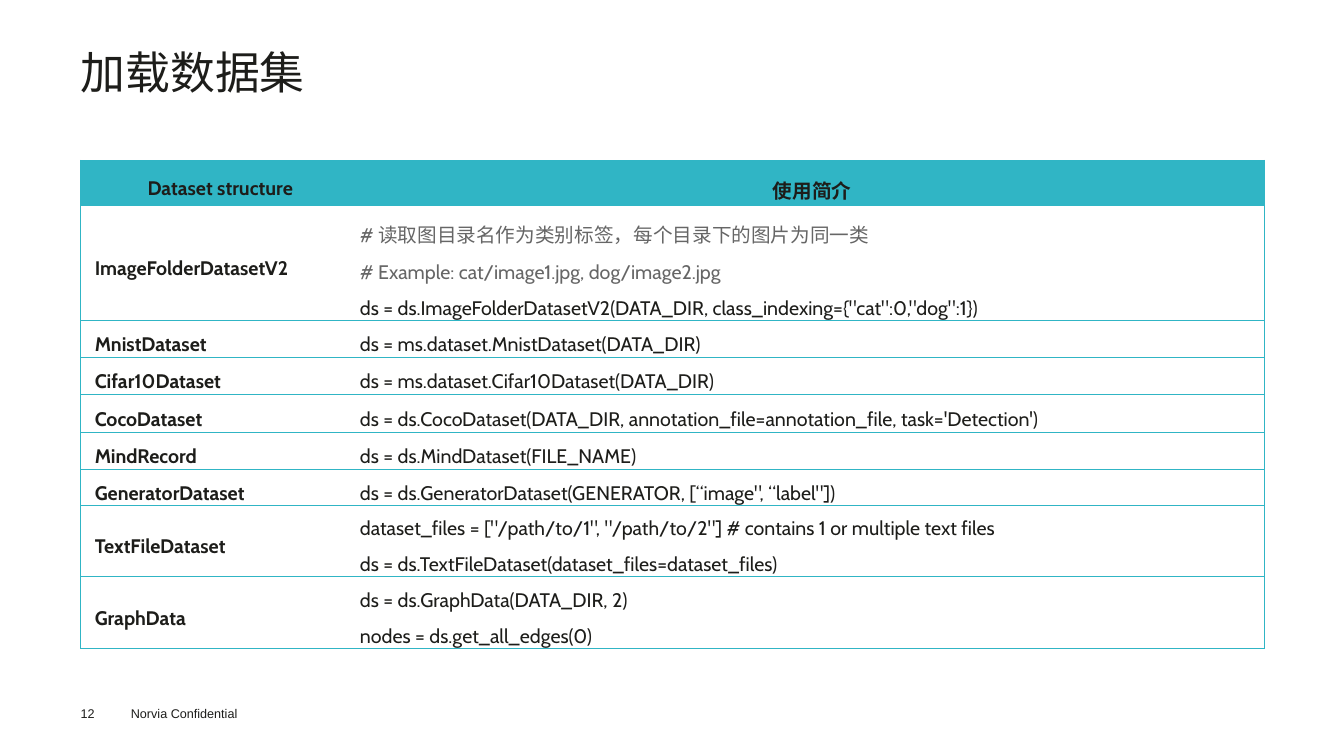
"""Build the slide that lists dataset loaders."""
from lxml.etree import SubElement
from pptx import Presentation
from pptx.dml.color import RGBColor
from pptx.enum.text import MSO_ANCHOR as Anchor, MSO_AUTO_SIZE as Fit, PP_ALIGN as Align
from pptx.oxml.ns import qn
from pptx.util import Inches, Pt

HUE = {"ink": "1D1D1A", "foot": "1D1D1B", "note": "666666", "teal": "30B5C5"}
NO_PAD = {"margin_left": 0, "margin_top": 0, "margin_right": 0, "margin_bottom": 0}
ROWS = [
    (0.45, "Dataset structure", ["使用简介"]),
    (1.05, "ImageFolderDatasetV2", [
        "# 读取图目录名作为类别标签，每个目录下的图片为同一类",
        "# Example: cat/image1.jpg, dog/image2.jpg",
        'ds = ds.ImageFolderDatasetV2(DATA_DIR, class_indexing={"cat":0,"dog":1})']),
    (0.37, "MnistDataset", ["ds = ms.dataset.MnistDataset(DATA_DIR)"]),
    (0.37, "Cifar10Dataset", ["ds = ms.dataset.Cifar10Dataset(DATA_DIR)"]),
    (0.37, "CocoDataset", [
        "ds = ds.CocoDataset(DATA_DIR, annotation_file=annotation_file, task='Detection')"]),
    (0.37, "MindRecord", ["ds = ds.MindDataset(FILE_NAME)"]),
    (0.35, "GeneratorDataset", ['ds = ds.GeneratorDataset(GENERATOR, [“image", “label"])']),
    (0.7, "TextFileDataset", [
        'dataset_files = ["/path/to/1", "/path/to/2"] # contains 1 or multiple text files',
        "ds = ds.TextFileDataset(dataset_files=dataset_files)"]),
    (0.7, "GraphData", ["ds = ds.GraphData(DATA_DIR, 2)", "nodes = ds.get_all_edges(0)"]),
]


def style(para, size, hue="ink", name="Cabin", bold=False):
    for key, val in {"size": Pt(size), "name": name, "bold": bold}.items():
        setattr(para.font, key, val)
    para.font.color.rgb = RGBColor.from_string(HUE[hue])


def edge(cell, side, show):
    line = SubElement(cell._tc.get_or_add_tcPr(), qn(f"a:ln{side}"), w=str(Pt(0.5)))
    if show:
        fill = SubElement(line, qn("a:solidFill"))
        SubElement(fill, qn("a:srgbClr"), val=HUE["teal"])
    else:
        SubElement(line, qn("a:noFill"))


deck = Presentation()
deck.slide_width, deck.slide_height = Inches(13.33), Inches(7.5)
slide = deck.slides.add_slide(deck.slide_layouts[5])

title = slide.shapes.title
title.left, title.top, title.width, title.height = map(Inches, (0.8, 0.5, 11.74, 1.09))
frame = title.text_frame
frame.text = "加载数据集"
for key, val in {**NO_PAD, "vertical_anchor": Anchor.TOP, "auto_size": Fit.NONE}.items():
    setattr(frame, key, val)
head = frame.paragraphs[0]
head.alignment, head.line_spacing = Align.LEFT, Pt(34.3)
style(head, 32)

table = slide.shapes.add_table(
    len(ROWS), 2, *map(Inches, (0.8, 1.59, 11.74, 4.73))).table
table.horz_banding = False
for col, width in zip(table.columns, (2.63, 9.11)):
    col.width = Inches(width)

for r, (height, label, code) in enumerate(ROWS):
    table.rows[r].height = Inches(height)
    for c, lines in enumerate(([label], code)):
        cell = table.cell(r, c)
        pad = {**NO_PAD, "margin_left": Inches(0.14), "vertical_anchor": Anchor.MIDDLE}
        for key, val in pad.items():
            setattr(cell, key, val)
        for side, show in {"L": c == 0, "R": c == 1, "T": True, "B": True}.items():
            edge(cell, side, show)
        if r == 0:
            cell.fill.solid()
            cell.fill.fore_color.rgb = RGBColor.from_string(HUE["teal"])
        else:
            cell.fill.background()
        cell.text = "\n".join(lines)
        for para in cell.text_frame.paragraphs:
            para.line_spacing = 1.5
            para.alignment = Align.CENTER if r == 0 else Align.LEFT
            hue = "note" if para.text.startswith("#") else "ink"
            style(para, 14, hue, bold=r == 0 or c == 0)

for text, box, pad in (
    ("12", (0.8, 7, 0.55, 0.15), NO_PAD),
    ("Norvia Confidential", (1.2, 6.95, 1.6, 0.25), {}),
):
    frame = slide.shapes.add_textbox(*map(Inches, box)).text_frame
    for key, val in pad.items():
        setattr(frame, key, val)
    frame.text = text
    style(frame.paragraphs[0], 9, "foot", "Arial")

deck.save("out.pptx")
